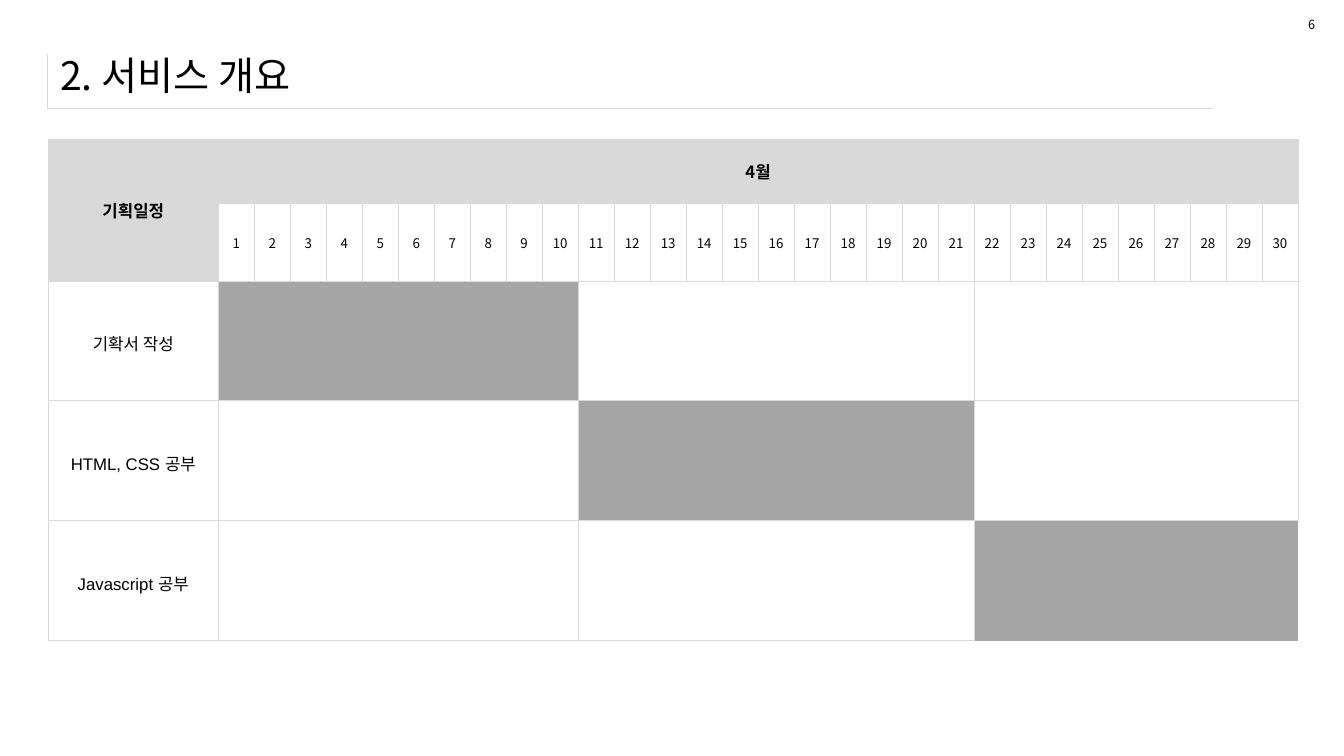
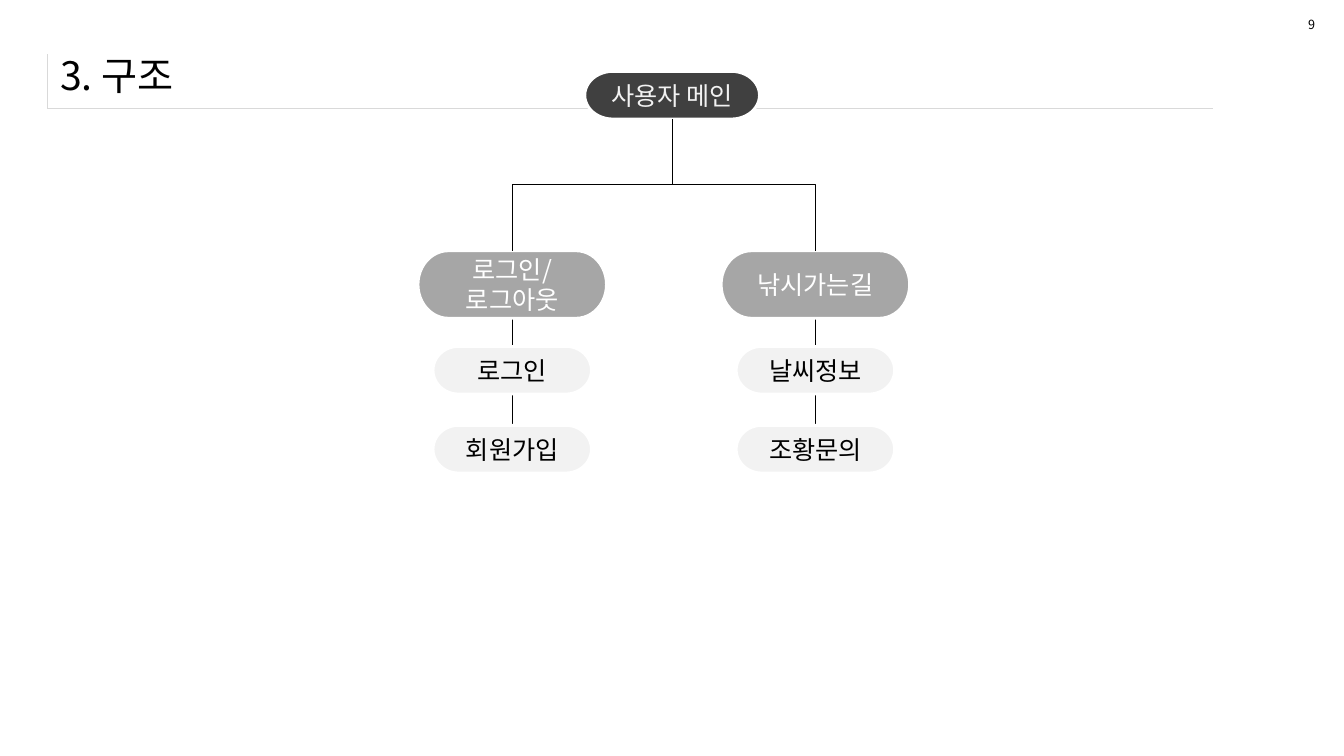
from dataclasses import dataclass

from lxml.etree import SubElement
from pptx import Presentation
from pptx.dml.color import RGBColor
from pptx.enum.shapes import MSO_CONNECTOR, MSO_SHAPE
from pptx.enum.text import MSO_ANCHOR, MSO_AUTO_SIZE, PP_ALIGN
from pptx.oxml.ns import qn
from pptx.util import Cm, Pt

KOREAN_FONT = "Noto Sans CJK KR"
LATIN_FONT = "Arial"
BLACK, WHITE = "000000", "FFFFFF"
RULE_GREY, MID_GREY = "D9D9D9", "A6A6A6"
DARK_GREY, PALE_GREY = "404040", "F2F2F2"
PLAIN_TABLE_STYLE = "{2D5ABB26-0587-4C30-8999-92F81FD0307C}"
SIDES = {"left": "a:lnL", "right": "a:lnR", "top": "a:lnT", "bottom": "a:lnB"}


@dataclass(frozen=True)
class PillStyle:
    width: float
    height: float
    fill: str
    ink: str


@dataclass(frozen=True)
class Branch:
    center: float
    label: str
    items: tuple[str, ...]


@dataclass(frozen=True)
class Task:
    label: str
    phase: int
    idle_fill: str | None = None


ROOT = PillStyle(4.4, 1.2, DARK_GREY, PALE_GREY)
GROUP = PillStyle(4.75, 1.7, MID_GREY, WHITE)
ITEM = PillStyle(3.99, 1.2, PALE_GREY, BLACK)

ROOT_CENTER, ROOT_TOP = 16.94, 1.8
GROUP_TOP, ITEM_TOP, ITEM_STEP = 6.32, 8.73, 1.99
BRANCHES = (
    Branch(12.91, "로그인/\n로그아웃", ("로그인", "회원가입")),
    Branch(20.55, "낚시가는길", ("날씨정보", "조황문의")),
)

DAY_COUNT = 30
PHASES = ((1, 10), (11, 21), (22, 30))
TASKS = (
    Task("기확서 작성", 0, WHITE),
    Task("HTML, CSS 공부", 1),
    Task("Javascript 공부", 2),
)


def color(value: str) -> RGBColor:
    return RGBColor.from_string(value)


def write_text(frame, text: str, size: float, ink: str = BLACK, bold: bool = False,
               align=PP_ALIGN.CENTER, latin: str = KOREAN_FONT,
               spacing: float = 1.0) -> None:
    frame.text = text
    for para in frame.paragraphs:
        para.alignment = align
        para.line_spacing = spacing
        for span in para.runs:
            span.font.size = Pt(size)
            span.font.bold = bold
            span.font.name = latin
            span.font.color.rgb = color(ink)
            SubElement(span.font._element, qn("a:ea"), typeface=KOREAN_FONT)


def add_line(page, start: tuple, end: tuple, kind=MSO_CONNECTOR.STRAIGHT):
    points = [Cm(value) for value in (*start, *end)]
    line = page.shapes.add_connector(kind, *points)
    line.line.color.rgb = color(BLACK)
    line.line.width = Pt(0.75)
    SubElement(line.element.spPr, qn("a:effectLst"))
    return line


def add_elbow(page, start: tuple, end: tuple) -> None:
    middle_x, middle_y = (start[0] + end[0]) / 2, (start[1] + end[1]) / 2
    half_length = (end[1] - start[1]) / 2
    half_spread = abs(end[0] - start[0]) / 2
    turn = 1 if end[0] < start[0] else -1
    line = add_line(
        page,
        (middle_x - turn * half_length, middle_y - half_spread),
        (middle_x + turn * half_length, middle_y + half_spread),
        MSO_CONNECTOR.ELBOW,
    )
    degrees = turn * 90 % 360
    line.element.spPr.find(qn("a:xfrm")).set("rot", str(degrees * 60000))


def add_plain_table(page, left: float, top: float, widths: list[float],
                    heights: list[float]):
    frame = page.shapes.add_table(
        len(heights), len(widths), Cm(left), Cm(top), Cm(sum(widths)),
        Cm(sum(heights)),
    )
    table = frame.table
    table.first_row = False
    table.horz_banding = False
    table._tbl.tblPr.find(qn("a:tableStyleId")).text = PLAIN_TABLE_STYLE
    for row, height in zip(table.rows, heights):
        row.height = Cm(height)
    for column, width in zip(table.columns, widths):
        column.width = Cm(width)
    return frame


def style_cell(cell, fill: str | None, sides=tuple(SIDES),
               width: float = 0.75) -> None:
    properties = cell._tc.get_or_add_tcPr()
    for side, tag in SIDES.items():
        edge = SubElement(properties, qn(tag), w=str(Pt(width)))
        if side in sides:
            solid = SubElement(edge, qn("a:solidFill"))
            SubElement(solid, qn("a:srgbClr"), val=RULE_GREY)
        else:
            SubElement(edge, qn("a:noFill"))
    if fill:
        cell.fill.solid()
        cell.fill.fore_color.rgb = color(fill)
    else:
        cell.fill.background()
    cell.vertical_anchor = MSO_ANCHOR.MIDDLE


def prepare_layout(deck):
    layout = deck.slide_layouts[5]
    title = layout.placeholders[0]
    title.left, title.top = Cm(1.26), Cm(1.04)
    title.width, title.height = Cm(31.72), Cm(1.7)
    return layout


def add_title_frame(page, layout) -> None:
    frame = add_plain_table(page, 1.19, 1.37, [29.37], [1.35])
    style_cell(frame.table.cell(0, 0), None, ("left", "bottom"), 0.25)
    next(frame.element.iter(qn("p:cNvPr"))).set("id", "101")
    layout.shapes.element.append(frame.element)


def add_page(deck, layout, title: str, number: int):
    page = deck.slides.add_slide(layout)
    frame = page.shapes.title.text_frame
    write_text(frame, title, 28, align=PP_ALIGN.LEFT)
    frame.vertical_anchor = MSO_ANCHOR.MIDDLE
    frame.auto_size = MSO_AUTO_SIZE.NONE
    box = page.shapes.add_textbox(Cm(32.72), Cm(0.3), Cm(0.69), Cm(0.64))
    box.text_frame.word_wrap = False
    write_text(box.text_frame, str(number), 9, align=PP_ALIGN.LEFT)
    return page


def fill_task_row(table, row: int, task: Task) -> None:
    label = table.cell(row, 0)
    style_cell(label, None)
    write_text(label.text_frame, task.label, 12, latin=LATIN_FONT, spacing=1.2)
    for phase, (first, last) in enumerate(PHASES):
        active = phase == task.phase
        for day in range(first, last + 1):
            sides = ["top"] if active else ["top", "bottom"]
            if day == first:
                sides.append("left")
            if day == last and not active:
                sides.append("right")
            style_cell(table.cell(row, day),
                       MID_GREY if active else task.idle_fill, sides)


def add_schedule(page) -> None:
    widths = [4.28] + [27.22 / DAY_COUNT] * DAY_COUNT
    heights = [1.61, 1.95] + [3.02] * len(TASKS)
    table = add_plain_table(page, 1.22, 3.52, widths, heights).table
    for day in range(DAY_COUNT + 1):
        style_cell(table.cell(0, day), RULE_GREY)
        cell = table.cell(1, day)
        style_cell(cell, WHITE if day else RULE_GREY)
        if day:
            cell.margin_left = cell.margin_right = Cm(0.1)
            write_text(cell.text_frame, str(day), 9.5)
    table.cell(0, 0).merge(table.cell(1, 0))
    table.cell(0, 1).merge(table.cell(0, DAY_COUNT))
    for column, heading in enumerate(("기획일정", "4월")):
        write_text(table.cell(0, column).text_frame, heading, 12, bold=True)
    for row, task in enumerate(TASKS, start=2):
        fill_task_row(table, row, task)


def add_pill(page, center: float, top: float, text: str, style: PillStyle) -> None:
    pill = page.shapes.add_shape(
        MSO_SHAPE.FLOWCHART_TERMINATOR, Cm(center - style.width / 2), Cm(top),
        Cm(style.width), Cm(style.height),
    )
    pill.shadow.inherit = False
    pill.fill.solid()
    pill.fill.fore_color.rgb = color(style.fill)
    pill.line.color.rgb = color(WHITE)
    pill.line.width = Pt(2)
    pill.text_frame.vertical_anchor = MSO_ANCHOR.MIDDLE
    write_text(pill.text_frame, text, 18, style.ink)


def add_structure(page) -> None:
    add_pill(page, ROOT_CENTER, ROOT_TOP, "사용자 메인", ROOT)
    for branch in BRANCHES:
        last_top = ITEM_TOP + ITEM_STEP * (len(branch.items) - 1)
        add_line(page, (branch.center, GROUP_TOP + GROUP.height),
                 (branch.center, last_top))
        add_pill(page, branch.center, GROUP_TOP, branch.label, GROUP)
        for index, item in enumerate(branch.items):
            add_pill(page, branch.center, ITEM_TOP + ITEM_STEP * index, item, ITEM)
        add_elbow(page, (ROOT_CENTER, ROOT_TOP + ROOT.height),
                  (branch.center, GROUP_TOP))


def main() -> None:
    deck = Presentation()
    deck.slide_width, deck.slide_height = Cm(33.87), Cm(19.05)
    layout = prepare_layout(deck)
    schedule_page = add_page(deck, layout, "2. 서비스 개요", 6)
    add_title_frame(schedule_page, layout)
    add_schedule(schedule_page)
    add_structure(add_page(deck, layout, "3. 구조", 9))
    deck.save("out.pptx")


if __name__ == "__main__":
    main()
